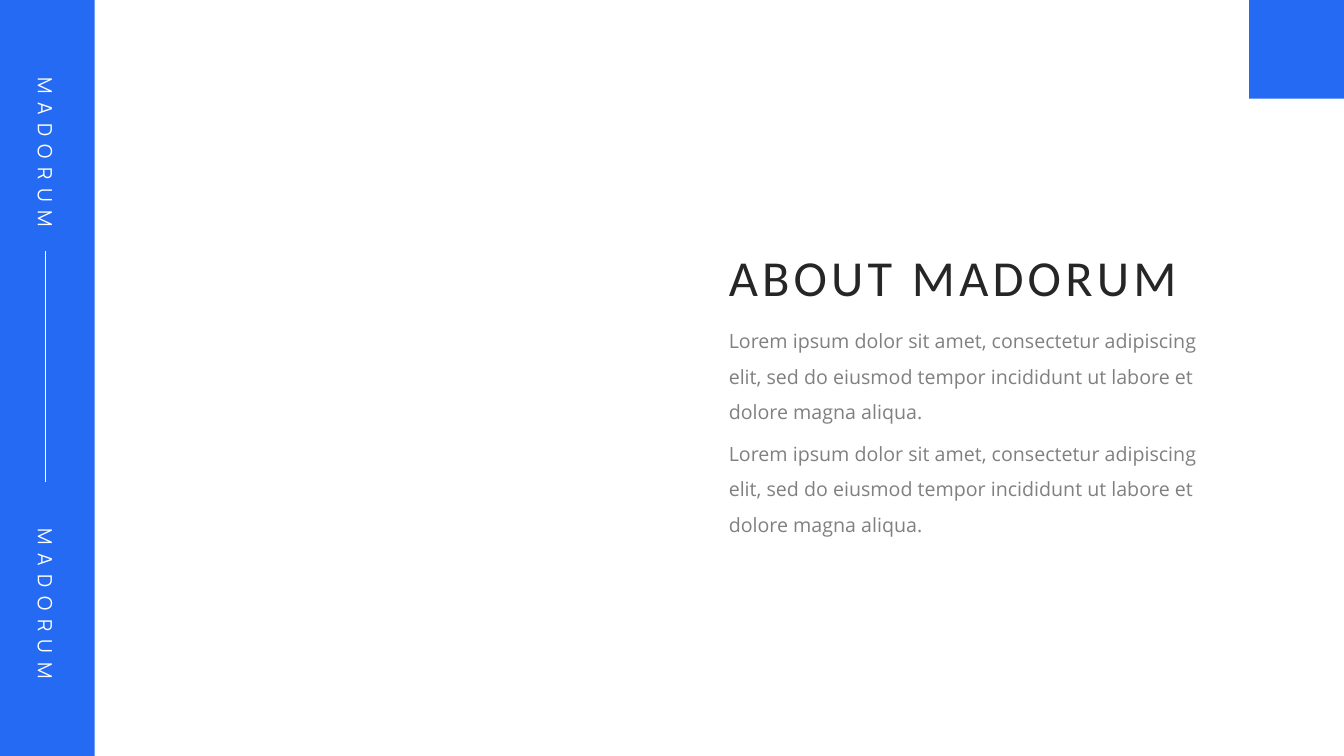
from dataclasses import dataclass

from pptx import Presentation
from pptx import util as u
from pptx.dml.color import RGBColor
from pptx.enum import shapes, text
from pptx.oxml.ns import qn

BLUE, WHITE, DARK, GREY = "256AF3", "FFFFFF", "262626", "808080"
NAME = "MADORUM"
LOREM = ("Lorem ipsum dolor sit amet, consectetur adipiscing elit, sed do "
         "eiusmod tempor incididunt ut labore et dolore magna aliqua.")


@dataclass
class Box:
    left: float
    top: float
    width: float
    height: float

    def place(self) -> list:
        return [u.Inches(v) for v in (self.left, self.top, self.width, self.height)]


def color(code: str) -> RGBColor:
    return RGBColor.from_string(code)


def add_block(slide, box: Box) -> None:
    block = slide.shapes.add_shape(shapes.MSO_SHAPE.RECTANGLE, *box.place())
    block.shadow.inherit = False
    block.fill.solid()
    block.fill.fore_color.rgb = color(BLUE)
    block.line.fill.background()


def add_text(slide, box: Box, words: str, *, font: str, size: float, tint: str,
             track: float = 0, lead: float = 1, wrap: bool = True,
             align=text.PP_ALIGN.LEFT, turn: float = 0) -> None:
    label = slide.shapes.add_textbox(*box.place())
    label.rotation = turn
    frame = label.text_frame
    frame.word_wrap = wrap
    frame.auto_size = text.MSO_AUTO_SIZE.SHAPE_TO_FIT_TEXT
    para = frame.paragraphs[0]
    para.alignment = align
    para.line_spacing = lead
    run = para.add_run()
    run.text = words
    run.font.name = font
    run.font.size = u.Pt(size)
    run.font.color.rgb = color(tint)
    if track:
        run.font._element.set("spc", str(int(track * 100)))


def add_rule(slide, x: float, top: float, end: float) -> None:
    rule = slide.shapes.add_connector(
        shapes.MSO_CONNECTOR.STRAIGHT,
        u.Inches(x), u.Inches(top), u.Inches(x), u.Inches(end))
    rule.line.color.rgb = color(WHITE)
    rule.line.width = u.Pt(0.5)
    props = rule._element.spPr
    props.append(props.makeelement(qn("a:effectLst"), {}))


def main() -> None:
    deck = Presentation()
    deck.slide_width, deck.slide_height = u.Inches(13.33), u.Inches(7.5)
    slide = deck.slides.add_slide(deck.slide_layouts[6])

    # Corner block
    add_block(slide, Box(12.39, 0, 0.94, 0.98))

    # Title and body
    add_text(slide, Box(7.13, 2.39, 4.9, 0.71), f"ABOUT {NAME}",
             font="Calibri", size=36, tint=DARK, track=3, wrap=False)
    for top in (3.1, 4.22):
        add_text(slide, Box(7.13, top, 4.96, 1.12), LOREM,
                 font="Open Sans", size=14, tint=GREY, lead=1.5)

    # Side bar with turned names around a rule
    add_block(slide, Box(0, 0, 0.94, 7.5))
    add_rule(slide, 0.45, 2.49, 4.78)
    for top in (1.34, 5.82):
        add_text(slide, Box(-0.53, top, 1.96, 0.34), NAME, font="Manrope",
                 size=14, tint=WHITE, track=6,
                 align=text.PP_ALIGN.CENTER, turn=90)

    deck.save("out.pptx")


if __name__ == "__main__":
    main()
